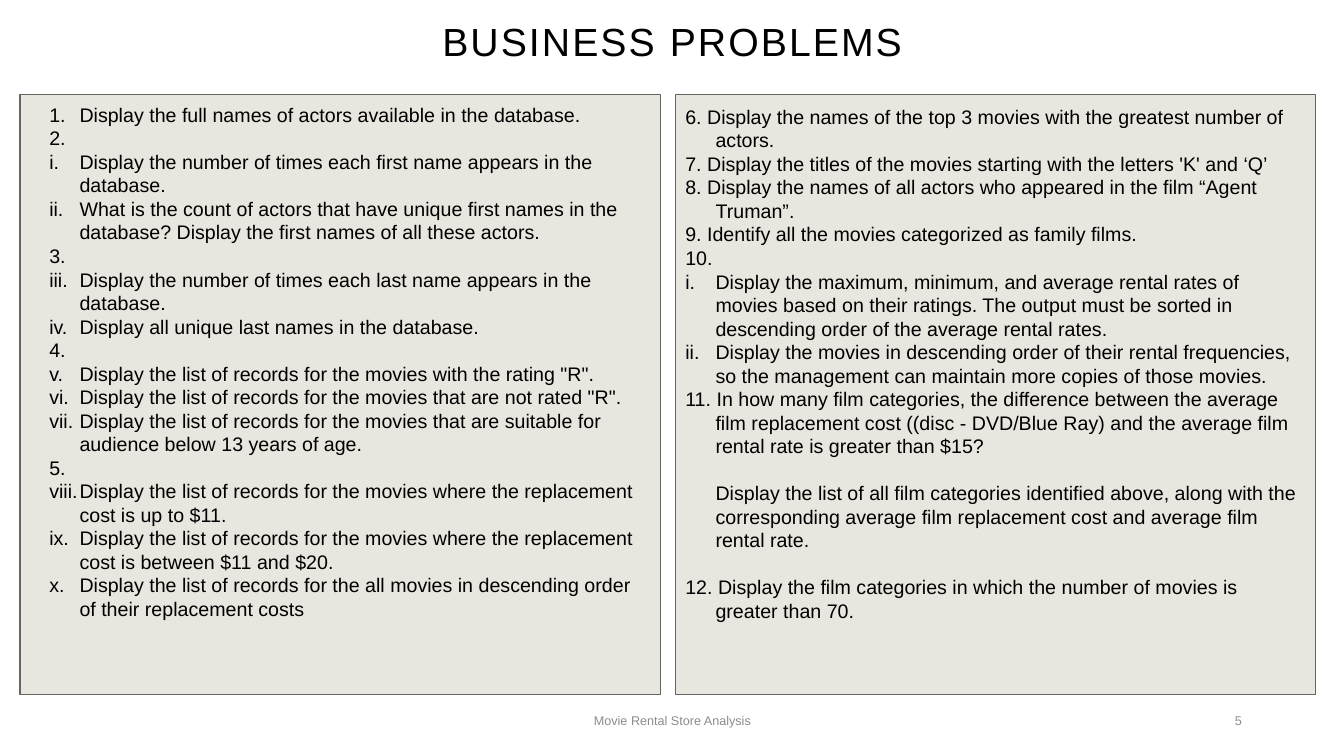
from pptx import Presentation
from pptx.dml.color import RGBColor
from pptx.enum.shapes import MSO_SHAPE
from pptx.enum.text import MSO_ANCHOR, PP_ALIGN
from pptx.oxml.xmlchemy import OxmlElement
from pptx.util import Inches, Pt

RECT = MSO_SHAPE.RECTANGLE
TOP, MIDDLE = MSO_ANCHOR.TOP, MSO_ANCHOR.MIDDLE
LEFT, CENTER, RIGHT = PP_ALIGN.LEFT, PP_ALIGN.CENTER, PP_ALIGN.RIGHT
BLACK = RGBColor(0x00, 0x00, 0x00)
GRAY = RGBColor(0x8C, 0x8C, 0x8C)
PANEL_FILL = RGBColor(0xE9, 0xE6, 0xDF)
PANEL_LINE = RGBColor(0x66, 0x65, 0x62)

HANGING = 0.3
LINE_GAP = 16.8

ARABIC, ROMAN = "arabicPeriod", "romanLcPeriod"
PLAIN = {}
NUMBERED = {"bullet": ARABIC}
SUB = {"bullet": ROMAN, "level": 1}
CONTINUED = {"first": 0, "before": LINE_GAP}
SPACED = {"before": LINE_GAP}

LEFT_PROBLEMS = [
    ("Display the full names of actors available in the database.", NUMBERED),
    ("2.", PLAIN),
    ("Display the number of times each first name appears in the database.", SUB),
    ("What is the count of actors that have unique first names in the database? "
     "Display the first names of all these actors.", SUB),
    ("3.", PLAIN),
    ("Display the number of times each last name appears in the database.", SUB),
    ("Display all unique last names in the database.", SUB),
    ("4.", PLAIN),
    ('Display the list of records for the movies with the rating "R".', SUB),
    ('Display the list of records for the movies that are not rated "R".', SUB),
    ("Display the list of records for the movies that are suitable for "
     "audience below 13 years of age.", SUB),
    ("5.", PLAIN),
    ("Display the list of records for the movies where the replacement "
     "cost is up to $11.", SUB),
    ("Display the list of records for the movies where the replacement "
     "cost is between $11 and $20.", SUB),
    ("Display the list of records for the all movies in descending order "
     "of their replacement costs", SUB),
]

RIGHT_PROBLEMS = [
    ("6. Display the names of the top 3 movies with the greatest number of actors.", PLAIN),
    ("7. Display the titles of the movies starting with the letters 'K' and ‘Q’", PLAIN),
    ("8. Display the names of all actors who appeared in the film “Agent Truman”.", PLAIN),
    ("9. Identify all the movies categorized as family films.", PLAIN),
    ("10.", PLAIN),
    ("Display the maximum, minimum, and average rental rates of movies based on "
     "their ratings. The output must be sorted in descending order of the "
     "average rental rates.", SUB),
    ("Display the movies in descending order of their rental frequencies, so the "
     "management can maintain more copies of those movies.", SUB),
    ("11. In how many film categories, the difference between the average film "
     "replacement cost ((disc - DVD/Blue Ray) and the average film rental rate "
     "is greater than $15?", PLAIN),
    ("Display the list of all film categories identified above, along with the "
     "corresponding average film replacement cost and average film rental rate.",
     CONTINUED),
    ("12. Display the film categories in which the number of movies is "
     "greater than 70.", SPACED),
]


class SlideBuilder:
    font = "Arial"

    def __init__(self, prs):
        self.prs = prs
        self.s = prs.slides.add_slide(prs.slide_layouts[6])

    def box(self, x, y, w, h):
        width, height = self.prs.slide_width, self.prs.slide_height
        return [int(share * size / 100) for share, size in
                zip((x, y, w, h), (width, height, width, height))]

    def panel(self, *area):
        sp = self.s.shapes.add_shape(RECT, *self.box(*area))
        sp.shadow.inherit = False
        sp.fill.solid()
        sp.fill.fore_color.rgb = PANEL_FILL
        sp.line.color.rgb = PANEL_LINE
        sp.line.width = Pt(1)

    def frame(self, area, anchor):
        tf = self.s.shapes.add_textbox(*self.box(*area)).text_frame
        for name, value in {"word_wrap": True, "vertical_anchor": anchor}.items():
            setattr(tf, name, value)
        return tf

    def styled_run(self, p, text, size, color, align=LEFT, **paragraph_format):
        for name, value in {"alignment": align, **paragraph_format}.items():
            setattr(p, name, value)
        r = p.add_run()
        r.text = text
        for name, value in {"name": self.font, "size": Pt(size)}.items():
            setattr(r.font, name, value)
        r.font.color.rgb = color
        return r

    def label(self, text, area, size, color, align, **paragraph_format):
        p = self.frame(area, MIDDLE).paragraphs[0]
        return self.styled_run(p, text, size, color, align, **paragraph_format)

    def problems(self, items, area, margin):
        tf = self.frame(area, TOP)
        for i, (text, style) in enumerate(items):
            p = tf.add_paragraph() if i else tf.paragraphs[0]
            self.styled_run(p, text, 14, BLACK, level=style.get("level", 0),
                            space_before=Pt(style.get("before", 0)))
            pPr = p._p.get_or_add_pPr()
            pPr.set("marL", str(Inches(margin)))
            pPr.set("indent", str(Inches(style.get("first", -HANGING))))
            if "bullet" in style:
                bullet = OxmlElement("a:buAutoNum")
                bullet.set("type", style["bullet"])
            else:
                bullet = OxmlElement("a:buNone")
            pPr.append(bullet)


def main():
    prs = Presentation()
    prs.slide_width, prs.slide_height = Inches(13.33), Inches(7.5)
    slide = SlideBuilder(prs)

    title = slide.label("BUSINESS PROBLEMS", (6.9, 2.27, 86.25, 7.07), 28, BLACK,
                        CENTER, line_spacing=0.9)
    title._r.get_or_add_rPr().set("spc", "150")

    columns = [(1.5, 12.93, LEFT_PROBLEMS, 0.49), (50.25, 13.2, RIGHT_PROBLEMS, HANGING)]
    for x, text_top, items, margin in columns:
        slide.panel(x, 12.53, 47.63, 79.33)
        slide.problems(items, (x, text_top, 47.63, 72), margin)

    footers = [("Movie Rental Store Analysis", 33.15, 33.75, CENTER),
               ("5", 70.65, 22.5, RIGHT)]
    for text, x, width, align in footers:
        slide.label(text, (x, 92.67, width, 5.33), 9, GRAY, align)

    prs.save("out.pptx")


if __name__ == "__main__":
    main()
